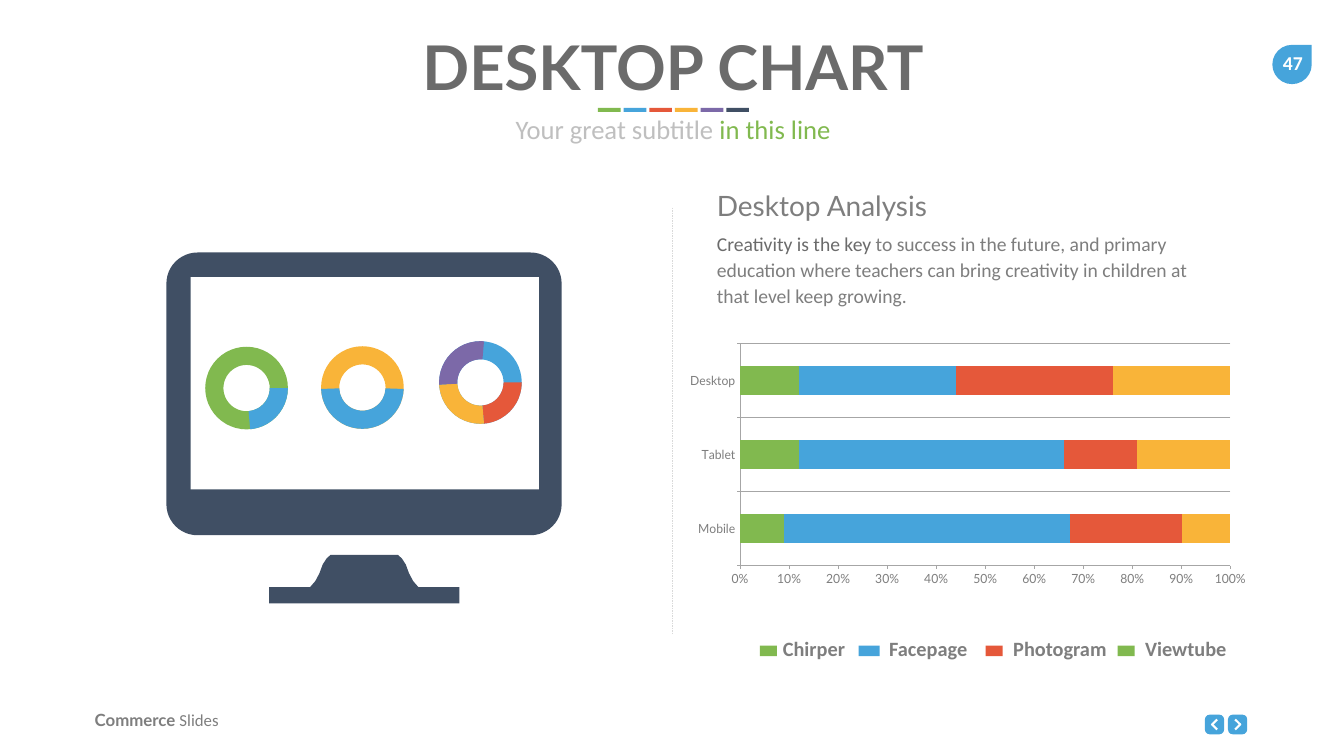
from lxml import etree
from pptx import Presentation
from pptx import util as u
from pptx.chart.data import CategoryChartData
from pptx.dml.color import RGBColor
from pptx.enum import chart as charts, dml, shapes, text
from pptx.oxml import parse_xml
from pptx.oxml.ns import nsdecls, qn

GREEN, BLUE, RED, YELLOW = "81B94F", "46A4DB", "E5583A", "F9B439"
PURPLE, NAVY, WHITE = "7C69A8", "404F64", "FFFFFF"
GREY, DARK_GREY, PALE_GREY = "7E7E7E", "6B6B6B", "BFBFBF"
color = RGBColor.from_string

presentation = Presentation()
presentation.slide_width, presentation.slide_height = u.Inches(26.66), u.Inches(15)
slide = presentation.slides.add_slide(presentation.slide_layouts[5])


def place(*shares):
    """Turn percentages of the slide's width and height, in turn, into lengths."""
    sides = presentation.slide_width, presentation.slide_height
    return [u.Emu(round(share * sides[i % 2] / 100)) for i, share in enumerate(shares)]


# Filled shapes, back to front: preset, box, colour, adjustments
preset = shapes.MSO_SHAPE
button_lefts = (89.65, 91.37)
filled = [(preset.ROUNDED_RECTANGLE, (left, 94.53, 1.43, 2.6), BLUE, [0.25])
          for left in button_lefts]
filled += [(preset.TEAR, (94.67, 5.93, 2.93, 5.2), BLUE, []),
           (preset.ROUNDED_RECTANGLE, (12.38, 33.4, 29.41, 37.4), NAVY, [0.11]),
           (preset.RECTANGLE, (14.18, 36.67, 25.92, 28.07), WHITE, [])]
for i, accent in enumerate((GREEN, BLUE, RED, YELLOW, PURPLE, NAVY)):
    filled.append((preset.RECTANGLE, (44.49 + 1.91 * i, 14.27, 1.69, 0.53), accent, []))

# Rings on the screen: a full donut with arcs on it (angles clockwise from the right)
rings = [
    (15.27, 45.87, GREEN, [(0, 85, BLUE)]),
    (23.89, 45.8, YELLOW, [(2, 178, BLUE)]),
    (32.67, 45.13, BLUE, [(0, 85, RED), (85, 177, YELLOW), (177, 275, PURPLE)]),
]
for left, top, base, arcs in rings:
    ring_box = (left, top, 6.15, 10.93)
    filled.append((preset.DONUT, ring_box, base, [0.22]))
    for start, end, arc_color in arcs:
        # An angle adjustment counts 0.6 to the degree
        filled.append((preset.BLOCK_ARC, ring_box, arc_color, [start * 0.6, end * 0.6, 0.22]))

# Legend: name, swatch left, swatch width, label left, label width, colour
legend = [
    ("Chirper", 56.53, 1.28, 57.88, 6.45, GREEN),
    ("Facepage", 63.88, 1.58, 65.79, 7.99, BLUE),
    ("Photogram", 73.33, 1.28, 75.02, 9.04, RED),
    ("Viewtube", 83.15, 1.28, 84.83, 7.99, GREEN),
]
for name, left, width, label_left, label_width, swatch in legend:
    filled.append((preset.RECTANGLE, (left, 85.4, width, 1.4), swatch, []))

for kind, box, fill, adjustments in filled:
    shape = slide.shapes.add_shape(kind, *place(*box))
    shape.shadow.inherit = False
    shape.fill.solid()
    shape.fill.fore_color.rgb = color(fill)
    shape.line.fill.background()
    for i, value in enumerate(adjustments):
        shape.adjustments[i] = value

# Monitor stand: one half as distances from its centre line, then mirrored
stand_center = 27.1
half = [(2.51, 73.4), (2.81, 73.9), (3.09, 74.67), (3.34, 75.87), (3.64, 76.87),
        (4.03, 77.67), (7.07, 77.67), (7.07, 79.8)]
outline = [(stand_center + x, y) for x, y in half]
outline += [(stand_center - x, y) for x, y in reversed(half)]
points = [place(*point) for point in outline]
builder = slide.shapes.build_freeform(*points[0])
builder.add_line_segments(points[1:], close=True)
stand = builder.convert_to_shape()
stand.shadow.inherit = False
stand.fill.solid()
stand.fill.fore_color.rgb = color(NAVY)
stand.line.fill.background()

# Arrows on the previous and next buttons
for left, direction in zip(button_lefts, (-1, 1)):
    middle = left + 0.72
    points = [place(middle - 0.19 * direction, 95.16), place(middle + 0.19 * direction, 95.83),
              place(middle - 0.19 * direction, 96.5)]
    builder = slide.shapes.build_freeform(*points[0])
    builder.add_line_segments(points[1:], close=False)
    arrow = builder.convert_to_shape()
    arrow.shadow.inherit = False
    arrow.fill.background()
    arrow.line.color.rgb = color(WHITE)
    arrow.line.width = u.Pt(3)

divider = slide.shapes.add_connector(
    shapes.MSO_CONNECTOR.STRAIGHT, *place(50, 27.47, 50, 83.8))
divider.line.color.rgb = color("D9D9D9")
divider.line.width = u.Pt(0.5)
divider.line.dash_style = dml.MSO_LINE.DASH
etree.SubElement(divider._element.spPr, qn("a:effectLst"))

# Texts: box, size, alignment, wide margins, line spacing, runs (text, font, colour, bold)
left_align, center = text.PP_ALIGN.LEFT, text.PP_ALIGN.CENTER
title_box = (7.13, 3.53, 85.9, 10.53)
texts = [
    (title_box, 88, center, False, 1, [("DESKTOP CHART", "Lato", DARK_GREY, True)]),
    ((7.13, 14.67, 85.9, 4.93), 38, center, False, 1,
     [("Your great subtitle ", "Calibri", PALE_GREY, False),
      ("in this line", "Calibri", GREEN, False)]),
    ((94.56, 6, 3.26, 4.47), 28, center, True, 1, [("47", "Calibri", WHITE, True)]),
    ((6.68, 93.6, 15, 3.33), 24, left_align, False, 1,
     [("Commerce ", "Lato", GREY, True), ("Slides", "Calibri", GREY, False)]),
    ((52.59, 24.27, 17.4, 5.87), 40, left_align, True, 1,
     [("Desktop Analysis", "Lato", GREY, False)]),
    ((52.59, 29.67, 38.78, 11.67), 28, left_align, True, 1.1,
     [("Creativity is the key ", "Calibri", DARK_GREY, False),
      ("to success in the future, and primary education where teachers can bring "
       "creativity in children at that level keep growing.", "Calibri", GREY, False)]),
]
for name, left, width, label_left, label_width, swatch in legend:
    texts.append(((label_left, 83.87, label_width, 4.6), 29, left_align, False, 1,
                  [(name, "Calibri", GREY, True)]))

for box, size, alignment, wide, spacing, runs in texts:
    if box == title_box:
        shape = slide.shapes.title
        shape.left, shape.top, shape.width, shape.height = place(*box)
    else:
        shape = slide.shapes.add_textbox(*place(*box))
    frame = shape.text_frame
    frame.word_wrap = True
    frame.auto_size = text.MSO_AUTO_SIZE.NONE
    frame.vertical_anchor = text.MSO_ANCHOR.TOP
    if wide:
        frame.margin_left = frame.margin_right = u.Inches(0.2)
        frame.margin_top = frame.margin_bottom = u.Inches(0.1)
    paragraph = frame.paragraphs[0]
    paragraph.alignment = alignment
    paragraph.line_spacing = spacing
    for words, font, run_color, bold in runs:
        run = paragraph.add_run()
        run.text = words
        run.font.name, run.font.size, run.font.bold = font, u.Pt(size), bold
        run.font.color.rgb = color(run_color)

# Stacked bars
data = CategoryChartData()
data.categories = ["Mobile", "Tablet", "Desktop"]
for i, values in enumerate([(9, 12, 12), (59, 54, 32), (23, 15, 32), (10, 19, 24)], 1):
    data.add_series(f"Series {i}", values)
chart = slide.shapes.add_chart(
    charts.XL_CHART_TYPE.BAR_STACKED_100, *place(51.35, 44.8, 41.34, 33.13), data).chart
chart.has_legend = chart.has_title = False
chart.font.name, chart.font.size = "Lato", u.Pt(18)
chart.font.color.rgb = color(GREY)
plot = chart.plots[0]
plot.gap_width, plot.overlap, plot.vary_by_categories = 150, 100, False
for series, fill in zip(plot.series, (GREEN, BLUE, RED, YELLOW)):
    series.format.fill.solid()
    series.format.fill.fore_color.rgb = color(fill)
for axis, gridlines in ((chart.category_axis, True), (chart.value_axis, False)):
    axis.has_major_gridlines = gridlines
    axis.major_tick_mark = charts.XL_TICK_MARK.OUTSIDE
    axis.format.line.color.rgb = color("A6A6A6")
chart.category_axis.major_gridlines.format.line.color.rgb = color("A6A6A6")
chart.value_axis.tick_labels.number_format = "0%"
chart.value_axis.tick_labels.number_format_is_linked = False

plot_area = chart._chartSpace.chart.plotArea
for layout in plot_area.findall(qn("c:layout")):
    plot_area.remove(layout)
parts = [("layoutTarget", "inner"), ("xMode", "edge"), ("yMode", "edge"),
         ("x", 0.061), ("y", 0.02), ("w", 0.915), ("h", 0.886)]
settings = "".join(f'<c:{tag} val="{value}"/>' for tag, value in parts)
plot_area.insert(0, parse_xml(
    f'<c:layout {nsdecls("c")}><c:manualLayout>{settings}</c:manualLayout></c:layout>'))

presentation.save("out.pptx")
